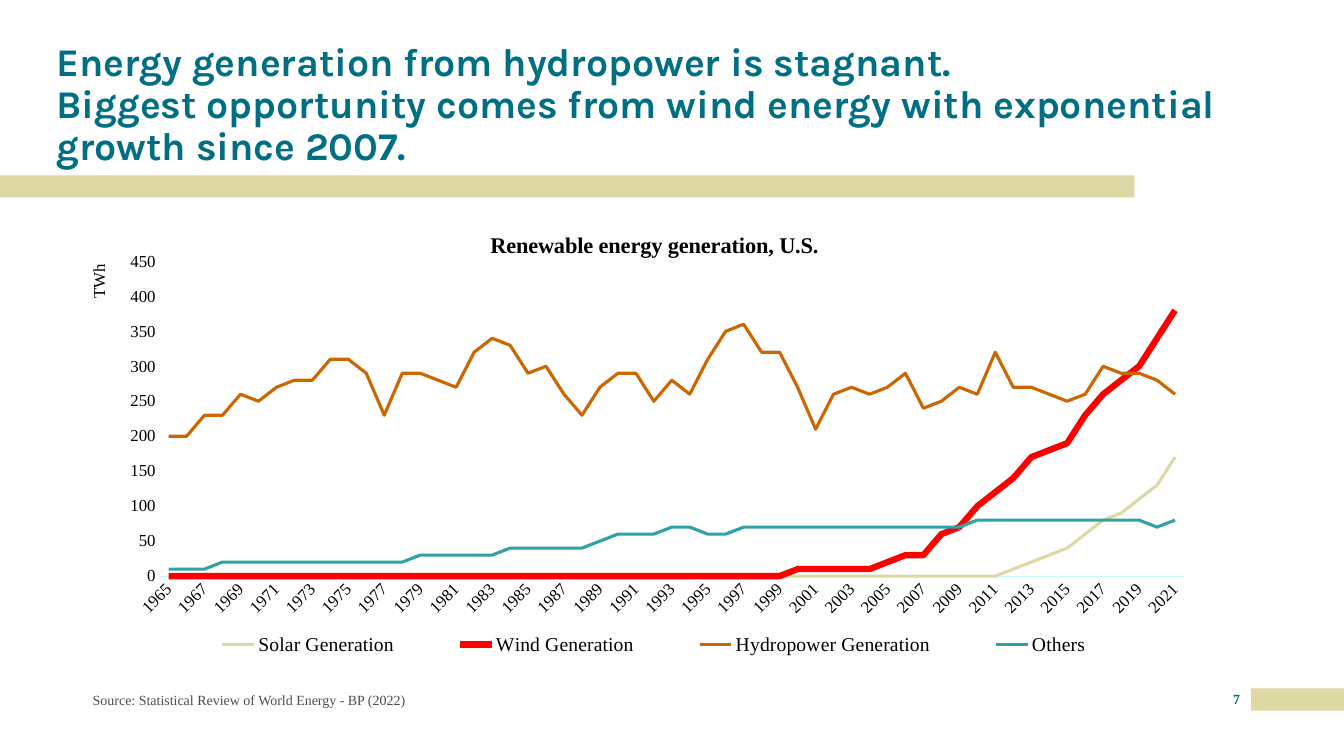
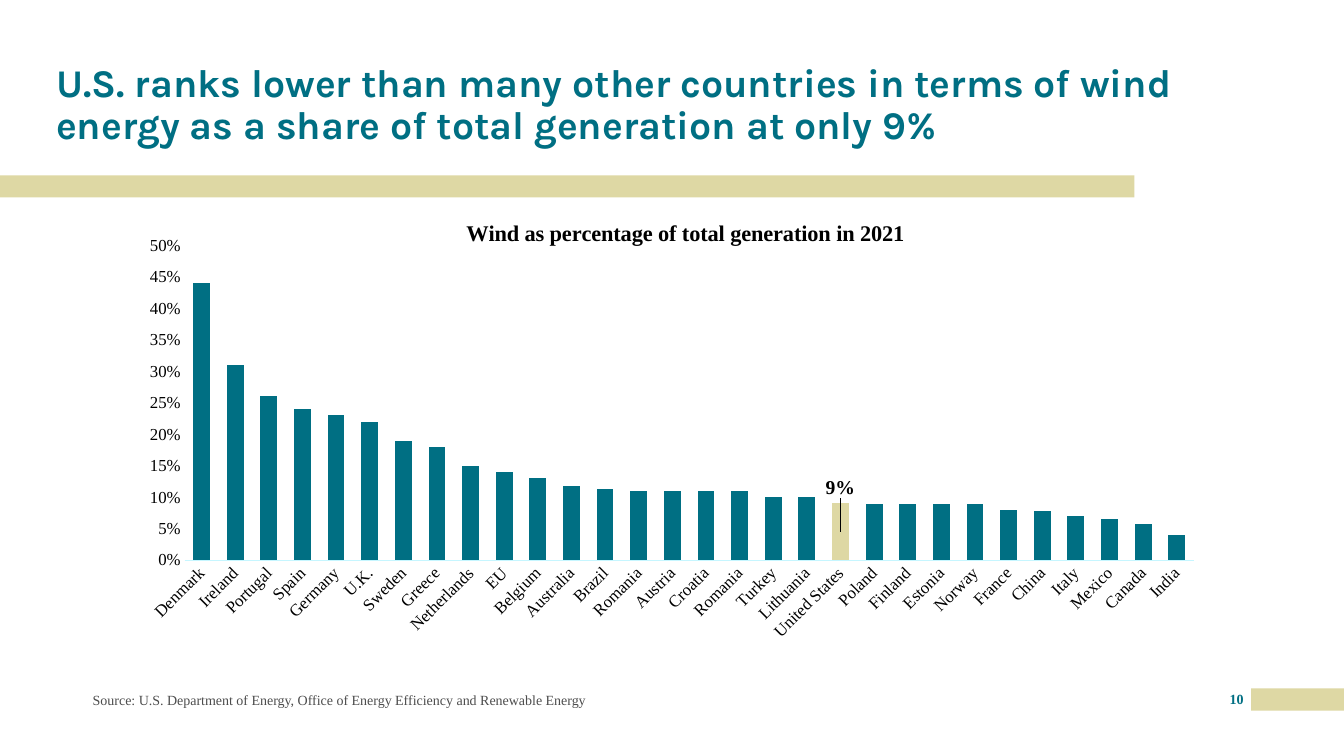
import pptx
import pptx.chart.data
import pptx.dml.color
import pptx.enum.chart
import pptx.enum.shapes
import pptx.enum.text
import pptx.oxml
import pptx.oxml.ns
import pptx.oxml.xmlchemy
import pptx.util

HUE = {"teal": "006F83", "sand": "DED8A4", "red": "FF0000", "rust": "CC6600",
       "sea": "32A1A6", "ice": "C6F6FF", "gray": "4D4D4D", "black": "000000"}
SERIF = "Times New Roman"
WIDE, HIGH = pptx.util.Inches(13.33), pptx.util.Inches(7.5)
BANDS = [(0, 23.2, 84.4, 2.93), (93.1, 91.07, 6.9, 2.93)]
TITLE = (3.45, 5.33, 93.17, 17.33)
SOURCE = (6.9, 91.07, 38.41, 3.07)
NUMBER = (90.92, 91.33, 2.18, 3.33)

YEARS = [str(year) for year in range(1965, 2022)]
POWER = [
    ("Solar Generation", "sand", 2.25,
     [0] * 47 + [10, 20, 30, 40, 60, 80, 90, 110, 130, 170]),
    ("Wind Generation", "red", 4.5,
     [0] * 35 + [10] * 5 + [20, 30, 30, 60, 70, 100, 120, 140, 170, 180,
                            190, 230, 260, 280, 300, 340, 380]),
    ("Hydropower Generation", "rust", 2.25,
     [200, 200, 230, 230, 260, 250, 270, 280, 280, 310, 310, 290, 230, 290,
      290, 280, 270, 320, 340, 330, 290, 300, 260, 230, 270, 290, 290, 250,
      280, 260, 310, 350, 360, 320, 320, 270, 210, 260, 270, 260, 270, 290,
      240, 250, 270, 260, 320, 270, 270, 260, 250, 260, 300, 290, 290, 280,
      260]),
    ("Others", "sea", 2.25,
     [10] * 3 + [20] * 11 + [30] * 5 + [40] * 5 + [50] + [60] * 3
     + [70, 70, 60, 60] + [70] * 13 + [80] * 10 + [70, 80]),
]
SHARES = [
    ("Denmark", 0.44), ("Ireland", 0.31), ("Portugal", 0.26), ("Spain", 0.24),
    ("Germany", 0.23), ("U.K.", 0.22), ("Sweden", 0.19), ("Greece", 0.18),
    ("Netherlands", 0.15), ("EU", 0.14), ("Belgium", 0.13),
    ("Australia", 0.118), ("Brazil", 0.113), ("Romania", 0.11),
    ("Austria", 0.11), ("Croatia", 0.11), ("Romania", 0.11), ("Turkey", 0.1),
    ("Lithuania", 0.1), ("United States", 0.091), ("Poland", 0.09),
    ("Finland", 0.09), ("Estonia", 0.09), ("Norway", 0.09), ("France", 0.08),
    ("China", 0.078), ("Italy", 0.07), ("Mexico", 0.066), ("Canada", 0.0577),
    ("India", 0.04),
]


def color(name):
    """Return the named colour."""
    return pptx.dml.color.RGBColor.from_string(HUE[name])


def place(box):
    """Turn percentages of the slide into lengths."""
    return [round(part * side / 100)
            for part, side in zip(box, (WIDE, HIGH, WIDE, HIGH))]


def style(font, size, hue="black", bold=False, face=SERIF):
    """Set the look of a font."""
    font.name, font.size, font.bold = face, pptx.util.Pt(size), bold
    font.color.rgb = color(hue)


def write(slide, box, text, size, hue, **look):
    """Add a wrapped text box and return its frame."""
    frame = slide.shapes.add_textbox(*place(box)).text_frame
    frame.word_wrap = True
    frame.text = text
    style(frame.paragraphs[0].font, size, hue, **look)
    return frame


def note(slide, box, text, hue, bold=False):
    """Add a small text without margins."""
    frame = write(slide, box, text, 10, hue, bold=bold)
    frame.margin_left = frame.margin_right = 0
    frame.margin_top = frame.margin_bottom = 0
    return frame


def start(deck, title, source, number):
    """Add a slide with bands, title, source and number."""
    slide = deck.slides.add_slide(deck.slide_layouts[6])
    for box in BANDS:
        band = slide.shapes.add_shape(
            pptx.enum.shapes.MSO_SHAPE.RECTANGLE, *place(box))
        band.shadow.inherit = False
        band.fill.solid()
        band.fill.fore_color.rgb = color("sand")
        band.line.fill.background()
    head = write(slide, TITLE, title, 28, "teal", bold=True, face="Karla")
    foot = note(slide, SOURCE, source, "gray")
    for frame in (head, foot):
        frame.vertical_anchor = pptx.enum.text.MSO_ANCHOR.MIDDLE
    head.paragraphs[0].line_spacing = 0.9
    page = note(slide, NUMBER, str(number), "teal", bold=True)
    page.paragraphs[0].alignment = pptx.enum.text.PP_ALIGN.CENTER
    return slide


def child(root, tag, value):
    """Append a chart element with a value."""
    node = pptx.oxml.xmlchemy.OxmlElement(tag)
    node.set("val", str(value))
    root.append(node)
    return node


def settle(node, index, **spots):
    """Give a chart part a manual layout."""
    for old in node.xpath("c:layout"):
        node.remove(old)
    layout = pptx.oxml.xmlchemy.OxmlElement("c:layout")
    manual = pptx.oxml.xmlchemy.OxmlElement("c:manualLayout")
    layout.append(manual)
    for tag, value in spots.items():
        child(manual, "c:" + tag, value)
    node.insert(index, layout)


def plot(slide, box, kind, data, title, spot, area, top, step):
    """Add a chart with a placed title, plot area and plain axes."""
    chart = slide.shapes.add_chart(kind, *place(box), data).chart
    style(chart.font, 10, "teal")
    chart.has_legend = False
    chart.has_title = True
    frame = chart.chart_title.text_frame
    frame.text = title
    style(frame.paragraphs[0].font, 16, bold=True)
    root = chart.element
    settle(root.xpath("c:chart/c:title")[0], 1,
           xMode="edge", yMode="edge", x=spot[0], y=spot[1])
    settle(root.xpath("c:chart/c:plotArea")[0], 0, layoutTarget="inner",
           xMode="edge", yMode="edge", **dict(zip("xywh", area)))
    none = pptx.enum.chart.XL_TICK_MARK.NONE
    for axis in (chart.category_axis, chart.value_axis):
        axis.major_tick_mark = axis.minor_tick_mark = none
        axis.has_major_gridlines = False
        style(axis.tick_labels.font, 12)
    line = chart.category_axis.format.line
    line.color.rgb, line.width = color("ice"), pptx.util.Pt(0.75)
    root.xpath(".//c:catAx/c:txPr/a:bodyPr")[0].set("rot", "-2700000")
    scale = chart.value_axis
    scale.format.line.fill.background()
    scale.minimum_scale, scale.maximum_scale = 0, top
    scale.major_unit = step
    chart.plots[0].vary_by_categories = False
    return chart


def trend(slide, box):
    """Draw renewable generation as lines."""
    data = pptx.chart.data.CategoryChartData()
    data.categories = YEARS
    for name, _, _, values in POWER:
        data.add_series(name, values)
    chart = plot(slide, box, pptx.enum.chart.XL_CHART_TYPE.LINE, data,
                 "Renewable energy generation, U.S.", (0.36, 0.05),
                 (0.087, 0.121, 0.856, 0.648), 450, 50)
    for series, (_, hue, width, _) in zip(chart.plots[0].series, POWER):
        series.smooth = False
        series.marker.style = pptx.enum.chart.XL_MARKER_STYLE.NONE
        line = series.format.line
        line.color.rgb, line.width = color(hue), pptx.util.Pt(width)
    root = chart.element
    axis = root.xpath(".//c:catAx")[0]
    skip = child(axis, "c:tickLblSkip", 2)
    axis.xpath("c:noMultiLvlLbl")[0].addprevious(skip)
    frame = chart.value_axis.axis_title.text_frame
    frame.text = "TWh"
    style(frame.paragraphs[0].font, 12)
    unit = root.xpath(".//c:valAx/c:title")[0]
    unit.xpath("c:tx/c:rich/a:bodyPr")[0].set("rot", "-5400000")
    settle(unit, 1, xMode="edge", yMode="edge", x=0.025, y=0.12)
    chart.has_legend = True
    legend = chart.legend
    legend.position = pptx.enum.chart.XL_LEGEND_POSITION.BOTTOM
    legend.include_in_layout = False
    style(legend.font, 14)
    settle(root.xpath("c:chart/c:legend")[0], 1, xMode="edge", yMode="edge",
           x=0.09, y=0.87, w=0.82, h=0.08)


def ranks(slide, box):
    """Draw wind shares as columns with one marked country."""
    data = pptx.chart.data.CategoryChartData(number_format="0%")
    names, values = zip(*SHARES)
    data.categories = names
    data.add_series("Series 1", values)
    chart = plot(slide, box, pptx.enum.chart.XL_CHART_TYPE.COLUMN_STACKED,
                 data, "Wind as percentage of total generation in 2021",
                 (0.34, 0.02), (0.108, 0.084, 0.843, 0.648), 0.5, 0.05)
    labels = chart.value_axis.tick_labels
    labels.number_format, labels.number_format_is_linked = "0%", False
    bars = chart.plots[0]
    bars.gap_width = bars.overlap = 100
    series = bars.series[0]
    point = series.points[names.index("United States")]
    for part, hue in ((series, "teal"), (point, "sand")):
        part.format.fill.solid()
        part.format.fill.fore_color.rgb = color(hue)
    series.data_labels.show_value = False
    style(point.data_label.font, 14, bold=True)
    group = chart.element.xpath(".//c:ser/c:dLbls")[0]
    settle(group.xpath("c:dLbl")[0], 1, x=0, y=-0.09)
    group.append(pptx.oxml.parse_xml(
        f'<c:extLst {pptx.oxml.ns.nsdecls("c")}>'
        '<c:ext uri="{CE6537A1-D6FC-4f65-9D91-7224C49458BB}" xmlns:c15='
        '"http://schemas.microsoft.com/office/drawing/2012/chart">'
        '<c15:showLeaderLines val="1"/></c:ext></c:extLst>'))


def main():
    """Build and save the deck."""
    deck = pptx.Presentation()
    deck.slide_width, deck.slide_height = WIDE, HIGH
    slide = start(deck, "Energy generation from hydropower is stagnant.\v"
                  "Biggest opportunity comes from wind energy with "
                  "exponential growth since 2007.",
                  "Source: Statistical Review of World Energy - BP (2022)", 7)
    trend(slide, (4.13, 26.8, 89.05, 64.27))
    slide = start(deck, "U.S. ranks lower than many other countries in terms "
                  "of wind energy as a share of total generation at only 9%",
                  "Source: U.S. Department of Energy, Office of Energy "
                  "Efficiency and Renewable Energy", 10)
    ranks(slide, (4.13, 27.07, 89.05, 64.27))
    deck.save("out.pptx")


if __name__ == "__main__":
    main()
